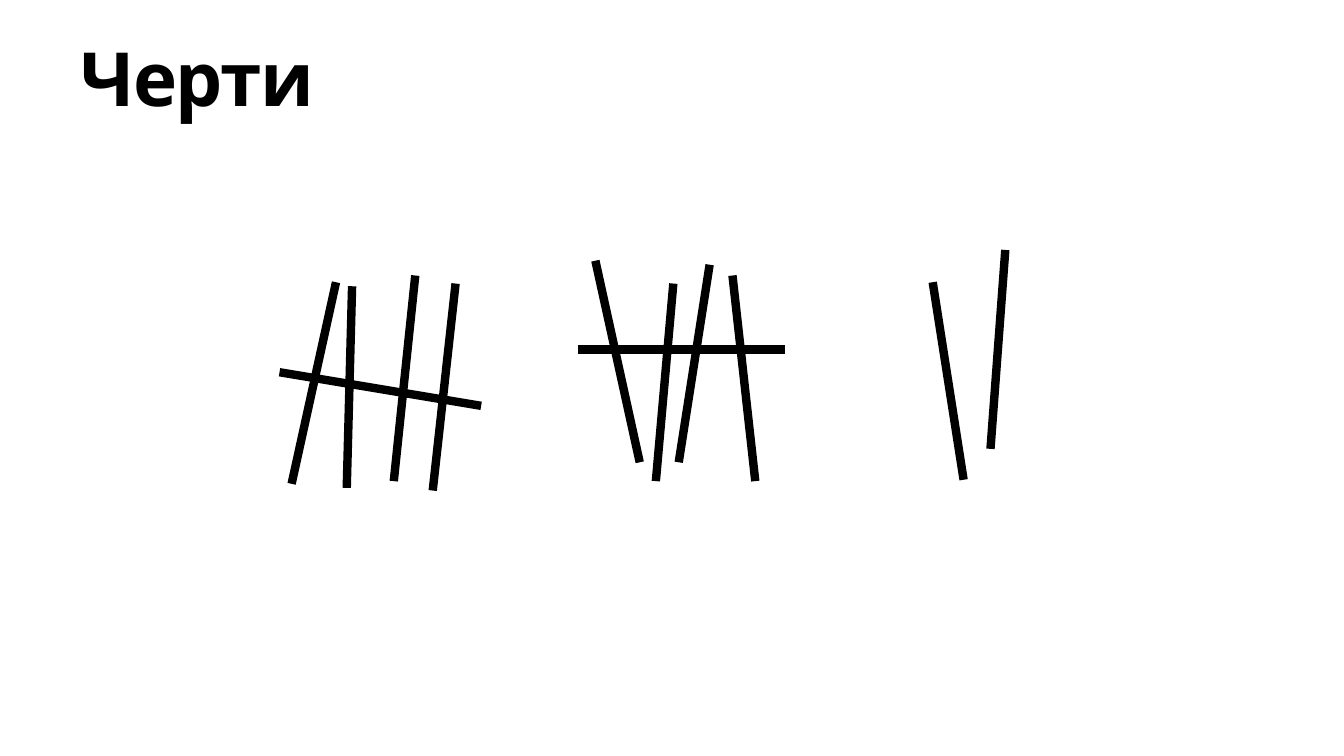
from dataclasses import dataclass

from lxml.etree import SubElement
from pptx import Presentation
from pptx.dml.color import RGBColor
from pptx.enum.shapes import MSO_CONNECTOR
from pptx.enum.text import MSO_ANCHOR
from pptx.oxml.ns import qn
from pptx.util import Pt

PX = 9144
PAGE_WIDTH = 1000 * PX
PAGE_HEIGHT = PAGE_WIDTH * 9 // 16


@dataclass(frozen=True)
class Theme:
    """Colours, font and sizes of the slide."""
    ink: RGBColor = RGBColor(0, 0, 0)
    paper: RGBColor = RGBColor(255, 255, 255)
    font: str = "Karla"
    title_size: int = 40
    title_spacing: int = -75
    stroke_width: float = 4.5


THEME = Theme()

TALLIES = [
    ((208, 205), [(42, 5, 9, 155), (54, 8, 50, 158), (101, 0, 85, 153),
                  (131, 6, 114, 160), (0, 72, 150, 97)]),
    ((430, 194), [(46, 150, 13, 0), (58, 164, 71, 17), (75, 150, 98, 3),
                  (132, 164, 115, 11), (0, 66, 154, 66)]),
    ((694, 186), [(0, 24, 23, 171), (54, 0, 43, 148)]),
]


def add_title(page, left, top, width, height, text):
    """Place the bold slide title in the given box."""
    box = page.shapes.add_textbox(left * PX, top * PX, width * PX, height * PX)
    frame = box.text_frame
    frame.word_wrap = True
    frame.vertical_anchor = MSO_ANCHOR.MIDDLE
    para = frame.paragraphs[0]
    span = para.add_run()
    span.text = text
    span.font._element.set("spc", str(THEME.title_spacing))
    para.font.name = THEME.font
    para.font.size = Pt(THEME.title_size)
    para.font.bold = True
    para.font.color.rgb = THEME.ink


def add_tally(page, left, top, strokes):
    """Draw one group of tally strokes from the given corner."""
    for start_x, start_y, end_x, end_y in strokes:
        stroke = page.shapes.add_connector(
            MSO_CONNECTOR.STRAIGHT,
            (left + start_x) * PX, (top + start_y) * PX,
            (left + end_x) * PX, (top + end_y) * PX)
        stroke.line.color.rgb = THEME.ink
        stroke.line.width = Pt(THEME.stroke_width)
        SubElement(stroke._element.spPr, qn("a:effectLst"))


def main():
    """Build the slide and save it."""
    deck = Presentation()
    deck.slide_width, deck.slide_height = PAGE_WIDTH, PAGE_HEIGHT
    page = deck.slides.add_slide(deck.slide_layouts[6])
    page.background.fill.solid()
    page.background.fill.fore_color.rgb = THEME.paper
    add_title(page, 50, 15, 950, 84, "Черти")
    for (left, top), strokes in TALLIES:
        add_tally(page, left, top, strokes)
    deck.save("out.pptx")


if __name__ == "__main__":
    main()
